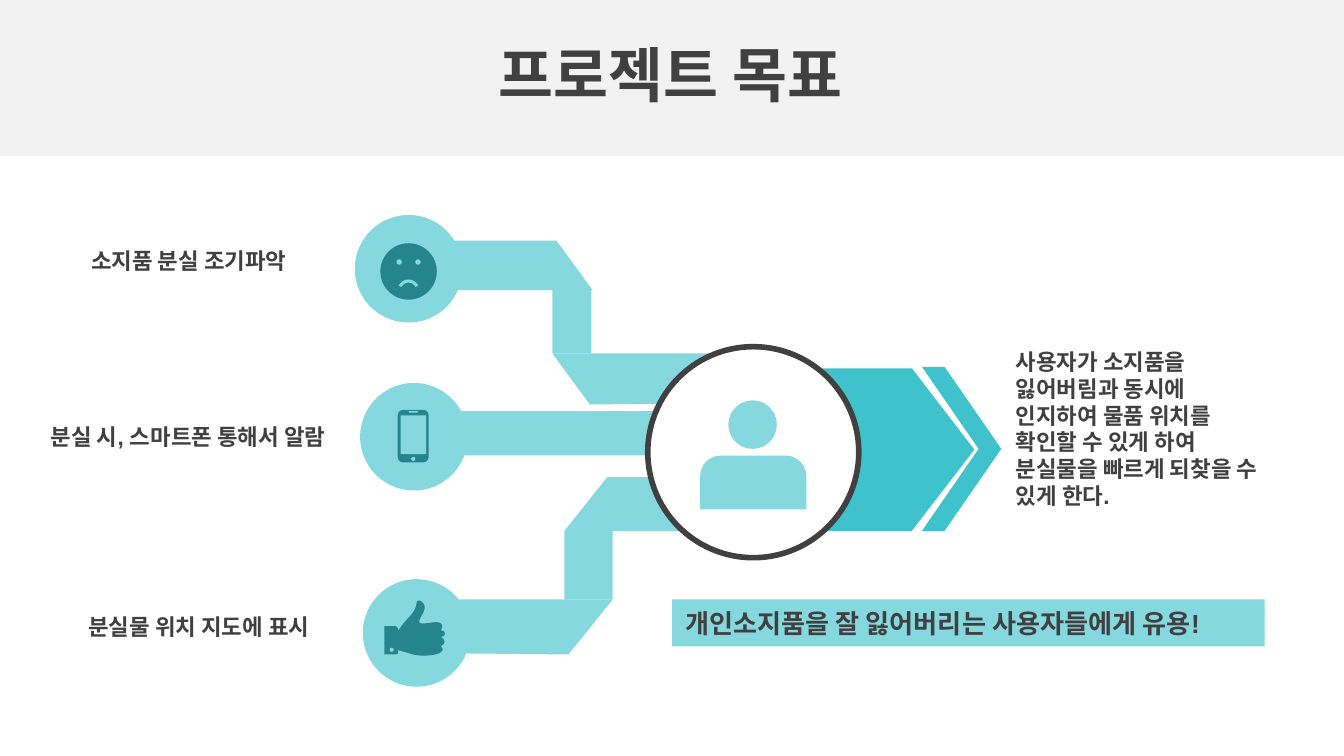
"""Build the project goal slide."""
from pptx import Presentation
from pptx.dml.color import RGBColor
from pptx.enum.shapes import MSO_SHAPE
from pptx.enum.text import MSO_ANCHOR, PP_ALIGN
from pptx.util import Inches, Pt

DARK = RGBColor(0x40, 0x40, 0x40)
GRAY = RGBColor(0xF2, 0xF2, 0xF2)
WHITE = RGBColor(0xFF, 0xFF, 0xFF)
LIGHT = RGBColor(0x85, 0xD8, 0xDE)
TEAL = RGBColor(0x3F, 0xC2, 0xCB)
DEEP = RGBColor(0x26, 0x85, 0x8C)

LABELS = [
    ("소지품 분실 조기파악", (0.28, 1.79, 2.25, 0.3)),
    ("분실 시, 스마트폰 통해서 알람", (0.13, 3.1, 2.54, 0.3)),
    ("분실물 위치 지도에 표시", (0.28, 4.51, 2.4, 0.3)),
]
NODES = [(2.64, 1.6), (2.68, 2.85), (2.7, 4.31)]
BENDS = [
    [(4.11, 2.63), (5.31, 2.63), (5.31, 3), (4.39, 3.01)],
    [(3.37, 1.79), (4.14, 1.79), (4.41, 2.16), (3.37, 2.16)],
    [(4.56, 4.46), (3.19, 4.46), (3.19, 4.86), (4.23, 4.87)],
    [(5.46, 3.55), (4.52, 3.55), (4.2, 3.95), (5.46, 3.95)],
]
BARS = [(4.11, 2.16, 0.29, 0.47), (4.2, 3.95, 0.36, 0.51)]
THUMB = [
    [(3.12, 4.47)],
    [(3.13, 4.47), (3.15, 4.48), (3.16, 4.51)],
    [(3.17, 4.56), (3.08, 4.64), (3.14, 4.64)],
    [(3.18, 4.64), (3.21, 4.63), (3.25, 4.63)],
    [(3.29, 4.63), (3.3, 4.66), (3.28, 4.69)],
    [(3.31, 4.69), (3.33, 4.73), (3.28, 4.74)],
    [(3.33, 4.77), (3.3, 4.8), (3.28, 4.81)],
    [(3.3, 4.83), (3.3, 4.84), (3.27, 4.86)],
    [(3.23, 4.88), (3.11, 4.89), (3.04, 4.86)],
    [(3, 4.85), (2.98, 4.84), (2.96, 4.84)],
    [(2.96, 4.86)],
    [(2.96, 4.87), (2.95, 4.87), (2.94, 4.87)],
    [(2.86, 4.87)],
    [(2.86, 4.66)],
    [(2.94, 4.66)],
    [(2.95, 4.66), (2.96, 4.67), (2.96, 4.68)],
    [(2.96, 4.69)],
    [(2.97, 4.69), (2.99, 4.65), (3.01, 4.63)],
    [(3.04, 4.59), (3.09, 4.56), (3.1, 4.49)],
    [(3.1, 4.47), (3.11, 4.47), (3.12, 4.47)],
]


def trace(parts, steps=8):
    """Turn line and cubic curve parts into a list of points."""
    points = list(parts[0])
    for part in parts[1:]:
        if len(part) == 1:
            points += part
            continue
        curve = [points[-1], *part]
        for step in range(1, steps + 1):
            t = step / steps
            rates = ((1 - t) ** 3, 3 * t * (1 - t) ** 2, 3 * t * t * (1 - t), t ** 3)
            points.append(tuple(
                sum(rate * point[axis] for rate, point in zip(rates, curve))
                for axis in (0, 1)))
    return points


def write(frame, text, size=12, align=PP_ALIGN.LEFT, anchor=MSO_ANCHOR.MIDDLE):
    """Put bold text in a frame with the given format."""
    frame.word_wrap = True
    frame.vertical_anchor = anchor
    line = frame.paragraphs[0]
    line.alignment = align
    run = line.add_run()
    run.text = text
    run.font.name = "Arial"
    run.font.size = Pt(size)
    run.font.bold = True
    run.font.color.rgb = DARK


class Canvas:
    """Hold the slide and draw each kind of element on it."""

    def __init__(self, slide):
        self.slide = slide

    def paint(self, shape, fill, line=None):
        shape.shadow.inherit = False
        shape.fill.solid()
        shape.fill.fore_color.rgb = fill
        if line:
            shape.line.color.rgb = line
            shape.line.width = Pt(3)
        else:
            shape.line.fill.background()
        return shape

    def shape(self, kind, box, fill, line=None, adjust=()):
        item = self.slide.shapes.add_shape(kind, *map(Inches, box))
        for index, value in enumerate(adjust):
            item.adjustments[index] = value
        return self.paint(item, fill, line)

    def outline(self, points, fill):
        spots = [(Inches(x), Inches(y)) for x, y in points]
        pen = self.slide.shapes.build_freeform(*spots[0])
        pen.add_line_segments(spots[1:], close=True)
        return self.paint(pen.convert_to_shape(), fill)

    def text(self, text, box, **style):
        item = self.slide.shapes.add_textbox(*map(Inches, box))
        write(item.text_frame, text, **style)


def draw_flow(art):
    """Draw the paths that lead to the user and the result."""
    for bend in BENDS:
        art.outline(bend, LIGHT)
    for bar in BARS:
        art.shape(MSO_SHAPE.RECTANGLE, bar, LIGHT)
    for node in NODES:
        art.shape(MSO_SHAPE.OVAL, (*node, 0.8, 0.8), LIGHT)
    art.shape(MSO_SHAPE.PENTAGON, (6.02, 2.74, 1.23, 1.21), TEAL, adjust=[0.384])
    art.shape(MSO_SHAPE.RECTANGLE, (3.39, 3.06, 2.11, 0.33), LIGHT)
    art.shape(MSO_SHAPE.OVAL, (4.82, 2.58, 1.57, 1.57), WHITE, line=DARK)
    art.shape(MSO_SHAPE.CHEVRON, (6.86, 2.73, 0.59, 1.22), TEAL, adjust=[0.714])


def draw_icons(art):
    """Draw the phone, user, sad face and thumb."""
    art.shape(MSO_SHAPE.ROUNDED_RECTANGLE, (2.96, 3.05, 0.23, 0.39), DEEP)
    art.shape(MSO_SHAPE.RECTANGLE, (2.98, 3.09, 0.19, 0.29), LIGHT)
    art.shape(MSO_SHAPE.ROUNDED_RECTANGLE, (3.04, 3.06, 0.07, 0.01), LIGHT, adjust=[0.5])
    art.shape(MSO_SHAPE.OVAL, (3.06, 3.4, 0.03, 0.03), LIGHT)
    art.shape(MSO_SHAPE.ROUND_2_SAME_RECTANGLE, (5.21, 3.39, 0.79, 0.4), LIGHT, adjust=[0.38])
    art.shape(MSO_SHAPE.OVAL, (5.42, 2.98, 0.36, 0.36), LIGHT)
    art.shape(MSO_SHAPE.OVAL, (2.83, 1.81, 0.42, 0.42), DEEP)
    for left in (2.95, 3.09):
        art.shape(MSO_SHAPE.OVAL, (left, 1.93, 0.04, 0.04), LIGHT)
    art.shape(MSO_SHAPE.BLOCK_ARC, (2.96, 2.08, 0.16, 0.16), LIGHT, adjust=[123, 201, 0.14])
    art.outline(trace(THUMB), DEEP)
    art.shape(MSO_SHAPE.OVAL, (2.9, 4.82, 0.03, 0.03), LIGHT)


def main():
    """Build and save the slide."""
    deck = Presentation()
    deck.slide_width = Inches(10)
    deck.slide_height = deck.slide_width * 9 // 16
    art = Canvas(deck.slides.add_slide(deck.slide_layouts[6]))
    art.shape(MSO_SHAPE.RECTANGLE, (0, 0, 10, 1.16), GRAY)
    art.text("프로젝트 목표", (-0.01, 0.23, 10, 0.63), size=32, align=PP_ALIGN.CENTER)
    draw_flow(art)
    for label, box in LABELS:
        art.text(label, box, align=PP_ALIGN.CENTER)
    art.text("사용자가 소지품을 잃어버림과 동시에 인지하여 물품 위치를 확인할 수 있게 하여 "
             "분실물을 빠르게 되찾을 수 있게 한다.",
             (7.46, 2.54, 2.07, 1.3), anchor=MSO_ANCHOR.TOP)
    banner = art.shape(MSO_SHAPE.RECTANGLE, (5, 4.46, 4.41, 0.35), LIGHT)
    write(banner.text_frame, "개인소지품을 잘 잃어버리는 사용자들에게 유용!", size=14)
    draw_icons(art)
    deck.save("out.pptx")


if __name__ == "__main__":
    main()
